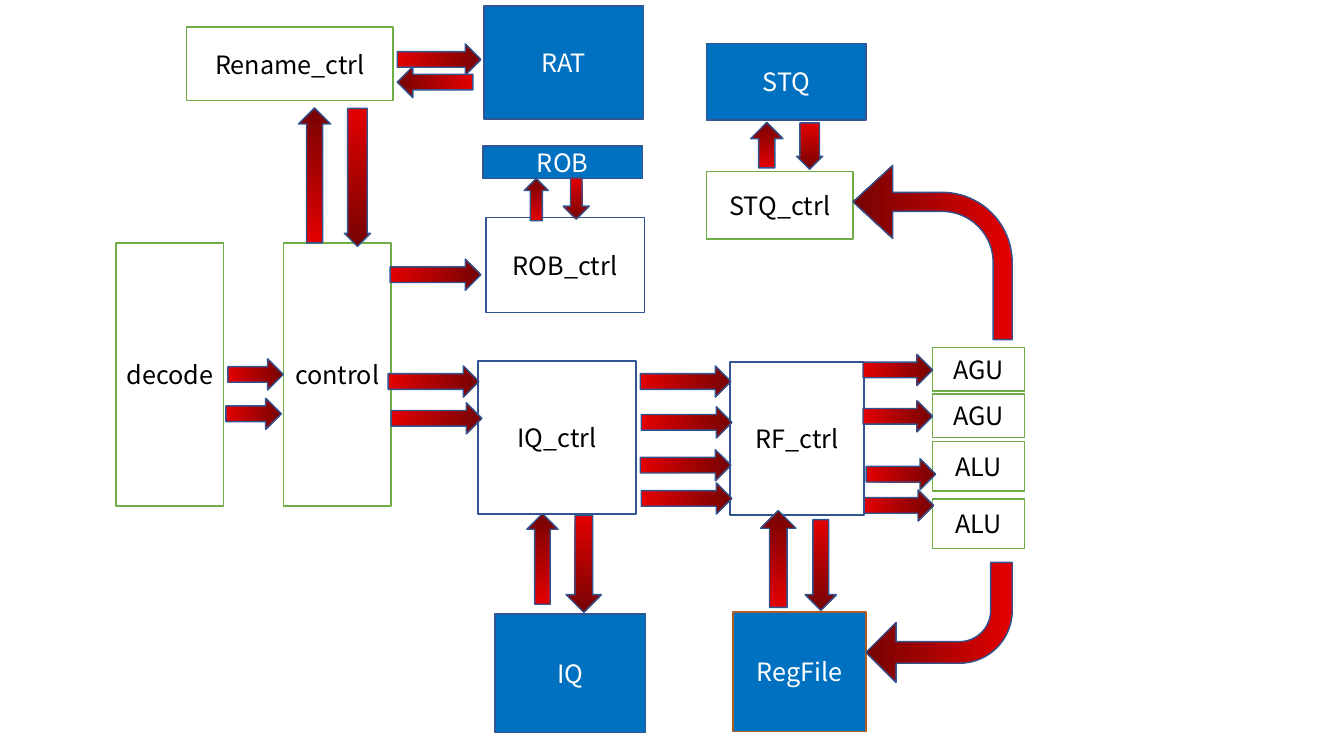
from pptx import Presentation
from pptx.dml.color import RGBColor
from pptx.enum.shapes import MSO_SHAPE
from pptx.enum.text import MSO_ANCHOR, PP_ALIGN
from pptx.util import Inches, Pt

RECT, ARROW, BENT = MSO_SHAPE.RECTANGLE, MSO_SHAPE.RIGHT_ARROW, MSO_SHAPE.BENT_ARROW
MIDDLE, CENTER = MSO_ANCHOR.MIDDLE, PP_ALIGN.CENTER

# The slide is a grid of 133.3 columns by 75 rows; all lengths count its cells
COLUMNS, ROWS = 133.3, 75
CELL = Inches(0.1)

COLORS = {"blue": "0070C0", "navy": "325491", "green": "70AD47", "brown": "AF5C24",
          "white": "FFFFFF", "black": "000000", "red": "E30000", "dark red": "760303"}
LABEL_FONT = {"name": "Noto Sans CJK SC", "size": Pt(18)}
LABEL_FRAME = {"word_wrap": True, "vertical_anchor": MIDDLE,
               "margin_left": Inches(0.05), "margin_right": Inches(0.05)}
TURNS = {"right": 0, "left": 0, "down": 90, "up": 270}

# Kind of block: fill, outline, label colour
STYLES = {
    "storage": ("blue", "navy", "white"),
    "register": ("blue", "brown", "white"),
    "queue control": (None, "navy", "black"),
    "stage": ("white", "green", "black"),
}

# Label, kind, left, top, width, height
BLOCKS = [
    ("decode", "stage", 11.5, 24.1, 10.7, 26.1),
    ("control", "stage", 28.1, 24.1, 10.7, 26.1),
    ("Rename_ctrl", "stage", 18.5, 2.7, 20.5, 7.3),
    ("RAT", "storage", 48, 0.6, 15.8, 11.2),
    ("ROB", "storage", 47.9, 14.5, 15.8, 3.2),
    ("ROB_ctrl", "queue control", 48.2, 21.6, 15.7, 9.4),
    ("IQ_ctrl", "queue control", 47.4, 35.8, 15.7, 15.2),
    ("IQ", "storage", 49.1, 60.9, 14.9, 11.8),
    ("RF_ctrl", "queue control", 72.4, 35.9, 13.3, 15.2),
    ("RegFile", "register", 72.7, 60.7, 13.2, 11.9),
    ("STQ", "storage", 70.1, 4.3, 15.8, 7.6),
    ("STQ_ctrl", "stage", 70.1, 17, 14.5, 6.7),
    ("AGU", "stage", 92.5, 34.5, 9.1, 4.3),
    ("AGU", "stage", 92.5, 39.1, 9.1, 4.3),
    ("ALU", "stage", 92.5, 43.8, 9.1, 4.9),
    ("ALU", "stage", 92.5, 49.5, 9.1, 4.9),
]

# Horizontal flows: direction, length, then (left, middle row) of each arrow
HORIZONTAL_FLOWS = [
    ("right", 5.5, [(22.6, 37.15), (22.4, 41.05)]),                      # decode > control
    ("right", 9, [(38.7, 27.25), (38.5, 37.85), (38.8, 41.5)]),          # control > queues
    ("right", 9, [(63.5, 37.85), (63.6, 41.9), (63.5, 46.15), (63.6, 49.45)]),  # IQ > RF
    ("right", 6.9, [(85.6, 36.7), (85.6, 41.3), (85.9, 47.05), (85.7, 50.15)]),  # RF > units
    ("right", 8.3, [(39.4, 5.9)]),                                       # rename > RAT
    ("left", 7.5, [(39.4, 8.15)]),                                       # RAT > rename
]

# Vertical flows: direction, middle column, middle row, length, thickness, shaft share
VERTICAL_FLOWS = [
    ("up", 31.2, 17.4, 13.4, 3.2, 0.5), ("down", 35.45, 17.6, 13.7, 2.6, 0.75),
    ("up", 53.2, 19.8, 4.2, 2.4, 0.5), ("down", 57.15, 19.7, 4.1, 2.6, 0.44),
    ("up", 53.8, 55.45, 9, 3.1, 0.5), ("down", 57.9, 55.95, 9.6, 3.5, 0.5),
    ("up", 77.2, 55.45, 9.6, 3.5, 0.5), ("down", 81.4, 56.05, 9, 3.1, 0.5),
    ("up", 76.05, 14.4, 4.5, 3.2, 0.5), ("down", 80.3, 14.5, 4.6, 2.6, 0.75),
]

# Write-back flows: left, top, width, height, bend settings, flips
WRITE_BACKS = [
    (84.6, 16.4, 15.8, 17.3, (0.12, 0.23, 0.25, 0.44), ("flipH",)),
    (85.9, 55.8, 14.5, 11.9, (0.18, 0.25, 0.25, 0.44), ("flipH", "flipV")),
]


def color(name):
    return RGBColor.from_string(COLORS[name])


def apply(target, settings):
    for key, value in settings.items():
        setattr(target, key, value)


def add_outlined(slide, kind, cells, outline):
    shape = slide.shapes.add_shape(kind, *(round(n * CELL) for n in cells))
    shape.shadow.inherit = False
    shape.line.color.rgb = color(outline)
    shape.line.width = Pt(1)
    return shape


def add_block(slide, label, kind, *cells):
    fill, outline, ink = STYLES[kind]
    block = add_outlined(slide, RECT, cells, outline)
    if fill:
        block.fill.solid()
        block.fill.fore_color.rgb = color(fill)
    else:
        block.fill.background()
    apply(block.text_frame, LABEL_FRAME)
    paragraph = block.text_frame.paragraphs[0]
    paragraph.alignment = CENTER
    run = paragraph.add_run()
    run.text = label
    apply(run.font, LABEL_FONT)
    run.font.color.rgb = color(ink)


def add_flow(slide, kind, cells, settings, flips=(), turn=0):
    flow = add_outlined(slide, kind, cells, "navy")
    flow.fill.gradient()
    flow.fill.gradient_angle = 0
    for stop, name in zip(flow.fill.gradient_stops, ("red", "dark red")):
        stop.color.rgb = color(name)
    for index, value in enumerate(settings):
        flow.adjustments[index] = value
    flow.rotation = turn
    for flip in flips:
        flow._element.spPr.xfrm.set(flip, "1")


def add_arrow(slide, direction, column, row, length, thickness=3.1, shaft=0.5):
    """Straight arrow centred on the given column and row."""
    cells = (column - length / 2, row - thickness / 2, length, thickness)
    flips = ("flipH",) if direction == "left" else ()
    add_flow(slide, ARROW, cells, (shaft, 0.5), flips, TURNS[direction])


def main():
    deck = Presentation()
    deck.slide_width, deck.slide_height = round(COLUMNS * CELL), ROWS * CELL
    slide = deck.slides.add_slide(deck.slide_layouts[6])

    # Pipeline blocks
    for block in BLOCKS:
        add_block(slide, *block)

    # Straight flows between blocks
    for direction, length, starts in HORIZONTAL_FLOWS:
        for left, row in starts:
            add_arrow(slide, direction, left + length / 2, row, length)
    for flow in VERTICAL_FLOWS:
        add_arrow(slide, *flow)

    # Results written back from the execution units
    for *cells, bend, flips in WRITE_BACKS:
        add_flow(slide, BENT, cells, bend, flips)

    deck.save("out.pptx")


if __name__ == "__main__":
    main()
